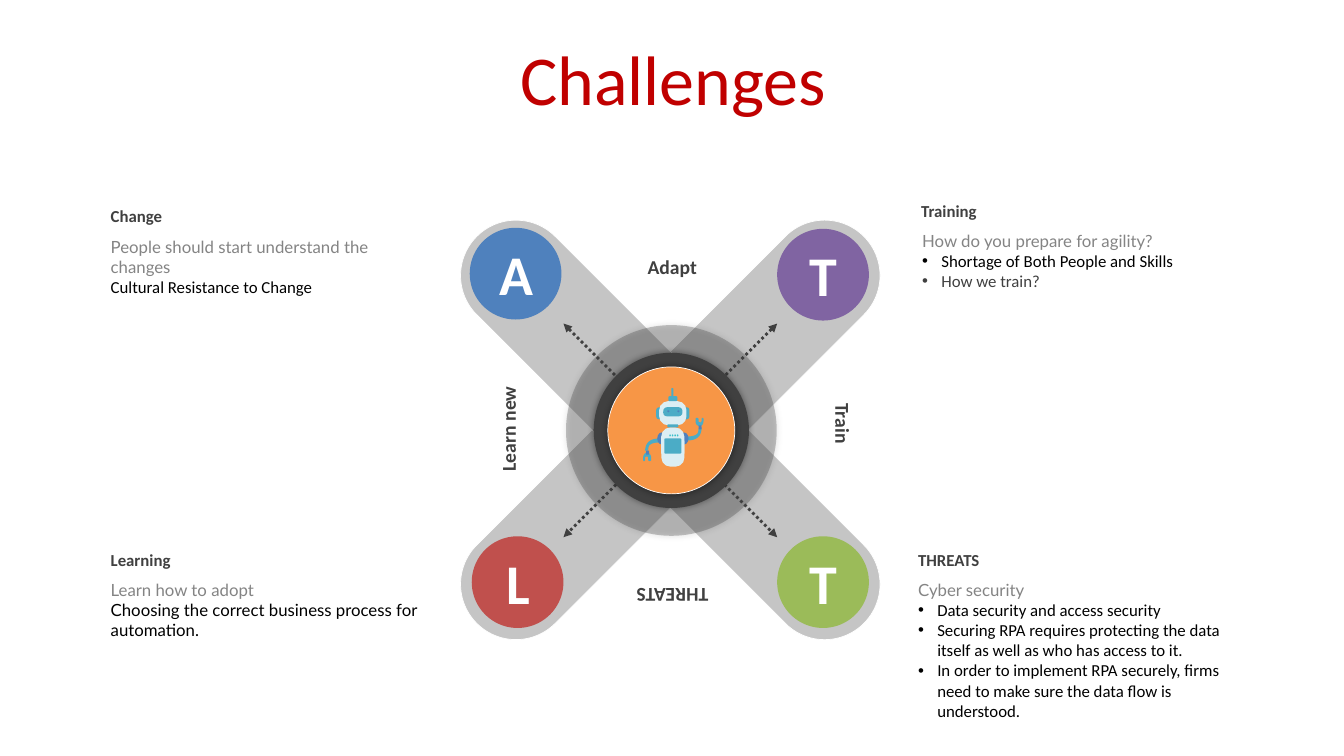
from dataclasses import dataclass
from typing import Any, NamedTuple

from lxml import etree
from pptx import Presentation
from pptx import util as u
from pptx.dml.color import RGBColor
from pptx.enum import dml, shapes, text
from pptx.oxml.ns import qn

# Grid: square cells, 133.33 columns by 75 rows
COLS, ROWS = 133.33, 75
CELL = u.Inches(0.1)
MID_X, MID_Y = 66.6, 42.7

DARK, GREY, BLACK, WHITE = "404040", "848484", "000000", "FFFFFF"
TEAL, BLUE, PALE, CYAN = "4BACC6", "4F81BD", "DBEEF4", "3BC0CB"
OVAL = shapes.MSO_SHAPE.OVAL
PILL = shapes.MSO_SHAPE.ROUNDED_RECTANGLE
DOME = shapes.MSO_SHAPE.ROUND_2_SAME_RECTANGLE


class Box(NamedTuple):
    col: float
    row: float
    cols: float
    rows: float


@dataclass
class Line:
    words: str
    size: float = 12
    color: str = BLACK
    font: str = "Calibri"
    bold: bool = False
    bullet: bool = False
    centred: bool = False
    before: float = 0


@dataclass
class Note:
    heading: str
    head_box: Box
    body_box: Box
    lines: list[Line]


@dataclass
class Badge:
    letter: str
    col: float
    row: float
    color: str


@dataclass
class Label:
    words: str
    box: Box
    turn: float


@dataclass
class Part:
    kind: Any
    box: Box
    color: str
    round: float | None = None
    turn: float = 0


def cells(*values: float) -> list[int]:
    return [round(v * CELL) for v in values]


def rgb(color: str) -> RGBColor:
    return RGBColor.from_string(color)


def add(parent: Any, tag: str, **attrs: Any) -> Any:
    return etree.SubElement(parent, qn(tag), {k: str(v) for k, v in attrs.items()})


def draw_text(container: Any, box: Box, lines: list[Line], turn: float = 0,
              middle: bool = False) -> None:
    tb = container.add_textbox(*cells(*box))
    tb.rotation = turn
    tf = tb.text_frame
    tf.word_wrap = True
    tf.vertical_anchor = text.MSO_ANCHOR.MIDDLE if middle else text.MSO_ANCHOR.TOP
    for i, line in enumerate(lines):
        p = tf.add_paragraph() if i else tf.paragraphs[0]
        p.alignment = text.PP_ALIGN.CENTER if line.centred else text.PP_ALIGN.LEFT
        p.space_before = u.Pt(line.before)
        if line.bullet:
            pr = p._p.get_or_add_pPr()
            pr.set("marL", str(u.Inches(0.19)))
            pr.set("indent", str(-u.Inches(0.19)))
            add(pr, "a:buFont", typeface="Arial")
            add(pr, "a:buChar", char="•")
        r = p.add_run()
        r.text = line.words
        f = r.font
        f.name, f.size, f.bold = line.font, u.Pt(line.size), line.bold
        f.color.rgb = rgb(line.color)


def paint(sp: Any, color: str, alpha: int = 100, edge: bool = False,
          glow: bool = False) -> None:
    sp.shadow.inherit = False
    sp.fill.solid()
    sp.fill.fore_color.rgb = rgb(color)
    if alpha < 100:
        add(sp._element.spPr.find(".//" + qn("a:srgbClr")), "a:alpha", val=alpha * 1000)
    if edge:
        sp.line.color.rgb = rgb(WHITE)
        sp.line.width = u.Pt(0.5)
    else:
        sp.line.fill.background()
    if glow:
        effects = sp._element.spPr.find(qn("a:effectLst"))
        shadow = add(effects, "a:outerShdw", blurRad=u.Pt(5), dist=0, dir=0)
        add(add(shadow, "a:srgbClr", val=BLACK), "a:alpha", val=40000)


def draw_part(container: Any, part: Part, **style: Any) -> None:
    sp = container.add_shape(part.kind, *cells(*part.box))
    sp.rotation = part.turn
    if part.round is not None:
        sp.adjustments[0] = part.round
    paint(sp, part.color, **style)


def centred(cols: float, rows: float, x: float = MID_X, y: float = MID_Y) -> Box:
    return Box(x - cols / 2, y - rows / 2, cols, rows)


def draw_outline(container: Any, steps: list[tuple], color: str, flip: bool) -> None:
    """Two numbers are a line's end, six a cubic curve; flip turns it half round."""
    points = [steps[0]]
    for step in steps[1:]:
        if len(step) == 2:
            points.append(step)
            continue
        start = points[-1]
        for t in (k / 8 for k in range(1, 9)):
            s = 1 - t
            points.append(tuple(
                s**3 * start[i] + 3 * s * s * t * step[i]
                + 3 * s * t * t * step[i + 2] + t**3 * step[i + 4] for i in (0, 1)))
    if flip:
        points = [(133.6 - x, 87.2 - y) for x, y in points]
    corners = [tuple(cells(*pt)) for pt in points]
    outline = container.build_freeform(*corners[0])
    outline.add_line_segments(corners[1:], close=True)
    paint(outline.convert_to_shape(), color)


def draw_arrow(container: Any, x1: float, y1: float, x2: float, y2: float) -> None:
    c = container.add_connector(shapes.MSO_CONNECTOR.STRAIGHT, *cells(x1, y1, x2, y2))
    c.line.color.rgb = rgb(DARK)
    c.line.width = u.Pt(2)
    c.line.dash_style = dml.MSO_LINE.ROUND_DOT
    ln = c.line._get_or_add_ln()
    add(ln, "a:headEnd", type="triangle")
    add(ln, "a:tailEnd", type="triangle")
    add(c._element.spPr, "a:effectLst")


LABELS = [
    Label("Adapt", Box(51.4, 24.8, 30.6, 27.5), 0),
    Label("Train", Box(56.1, 28.1, 30.6, 27.8), 90),
    Label("Learn new", Box(47.2, 28.8, 30.6, 27.5), 270),
    Label("THREATS", Box(51.4, 33.3, 30.6, 27.5), 180),
]
BADGES = [
    Badge("A", 46.6, 22.6, BLUE), Badge("T", 77.1, 22.7, "8064A2"),
    Badge("L", 46.8, 53.2, "C0504D"), Badge("T", 77.1, 53.2, "9BBB59"),
]
NOTES = [
    Note("Learning", Box(10, 54, 33.3, 3), Box(10, 57, 33.6, 7.1), [
        Line("Learn how to adopt", color=GREY, font="Lato"),
        Line("Choosing the correct business process for automation.", font="Lato")]),
    Note("Change", Box(10, 19.9, 33.3, 3), Box(10, 23, 32.9, 5), [
        Line("People should start understand the changes", color=GREY, font="Lato"),
        Line("Cultural Resistance to Change")]),
    Note("THREATS", Box(90.1, 54, 33.3, 3), Box(90.1, 57, 33.6, 17.2), [
        Line("Cyber security", color=GREY, font="Lato"),
        Line("Data security and access security", bullet=True),
        Line("Securing RPA requires protecting the data itself as well as who has "
             "access to it.", bullet=True),
        Line("In order to implement RPA securely, firms need to make sure the data "
             "flow is understood.", bullet=True)]),
    Note("Training", Box(90.4, 19.4, 33.3, 3), Box(90.5, 22.4, 32.9, 7.1), [
        Line("How do you prepare for agility?", color=GREY, font="Lato"),
        Line("Shortage of Both People and Skills", bullet=True),
        Line("How we train?", color=DARK, bullet=True)]),
]
ARM = [(68.2, 43.7), (68.8, 43.7, 69.2, 43.5, 69.4, 43.2),
       (69.6, 42.9, 69.6, 42.5, 69.6, 42.5), (69.3, 42.5),
       (69.3, 42.5, 69.3, 42.8, 69.2, 43), (69, 43.2, 68.7, 43.3, 68.2, 43.3),
       (68.1, 43.4, 68.1, 43.6, 68.2, 43.7)]
HAND = [(69, 41.6), (69, 41.8), (69, 42.1, 69.2, 42.3, 69.5, 42.3),
        (69.7, 42.2, 69.8, 42, 69.8, 41.7), (69.8, 41.6),
        (69.8, 41.4, 69.6, 41.4, 69.6, 41.6), (69.6, 41.7),
        (69.6, 41.8, 69.6, 41.9, 69.5, 41.9), (69.4, 41.9, 69.3, 41.9, 69.3, 41.8),
        (69.3, 41.6), (69.3, 41.4, 69, 41.4, 69, 41.6)]
ROBOT = [
    *[Part(PILL, Box(x, y, 0.3, 0.4), BLUE, 0.2) for x, y in ((64.1, 44.7), (69.3, 42.2))],
    *[Part(OVAL, Box(x, 42.9, 0.9, 1.2), BLUE) for x in (65.2, 67.4)],
    Part(DOME, Box(65.6, 42.4, 2.3, 2.6), PALE, 0.4),
    Part(DOME, Box(65.6, 43.7, 2.3, 2.6), PALE, 0.4, 180),
    *[Part(PILL, Box(x, 40.4, 0.6, 1.2), TEAL, 0.5) for x in (65.1, 67.8)],
    Part(PILL, Box(65.4, 39.8, 2.7, 2.4), PALE, 0.37),
    Part(PILL, Box(66.3, 39.3, 0.9, 0.5), TEAL, 0.3),
    Part(PILL, Box(66.6, 38.5, 0.2, 1), TEAL, 0.5),
    *[Part(OVAL, Box(66.4 + 0.25 * i, 43.1, 0.15, 0.2), CYAN) for i in range(4)],
    Part(PILL, Box(65.8, 40.4, 1.9, 0.9), TEAL, 0.4),
    *[Part(OVAL, Box(x, 40.7, 0.2, 0.2), BLUE) for x in (66.2, 67.2)],
    Part(PILL, Box(66.2, 42.1, 1.1, 0.3), TEAL, 0.4),
    Part(PILL, Box(65.9, 43.5, 1.7, 1.5), TEAL, 0.08),
]


def main() -> None:
    prs = Presentation()
    prs.slide_width, prs.slide_height = cells(COLS, ROWS)
    s = prs.slides.add_slide(prs.slide_layouts[6]).shapes

    # Title and side labels
    draw_text(s, Box(3.5, 3.7, 126.6, 7.9),
              [Line("Challenges", 50, "C00000", centred=True, before=5)], middle=True)
    for label in LABELS:
        draw_text(s, label.box, [Line(label.words, 14, DARK, bold=True, centred=True)],
                  label.turn)

    # Crossed arms, arrows and hub
    for turn in (45, 315):
        draw_part(s, Part(PILL, centred(11, 54.3, 66.5, 42.65), DARK, 0.5, turn),
                  alpha=30, edge=True)
    draw_part(s, Part(OVAL, centred(20.9, 20.9), DARK), alpha=30, glow=True)
    reach = 10.6
    for side in (-reach, reach):
        draw_arrow(s, MID_X - 0.1 + side, MID_Y - reach, MID_X - 0.1 - side, MID_Y + reach)
    draw_part(s, Part(OVAL, centred(15.4, 15.4), DARK), glow=True)
    draw_part(s, Part(OVAL, centred(12.6, 12.6), "F79646"), edge=True, glow=True)

    # Notes in the corners
    for note in NOTES:
        group = s.add_group_shape().shapes
        draw_text(group, note.body_box, note.lines)
        draw_text(group, note.head_box, [Line(note.heading, color=DARK, bold=True)])

    # Letter badges
    for b in BADGES:
        draw_part(s, Part(OVAL, Box(b.col, b.row, 9.1, 9.1), b.color))
    for b in BADGES:
        draw_text(s, Box(b.col + 0.1, b.row + 0.7, 9, 7.7),
                  [Line(b.letter, 40, WHITE, bold=True, centred=True)])

    # Robot
    robot = s.add_group_shape().shapes
    for flip in (True, False):
        for steps in (ARM, HAND):
            draw_outline(robot, steps, TEAL, flip)
    for part in ROBOT:
        draw_part(robot, part)

    prs.save("out.pptx")


if __name__ == "__main__":
    main()
